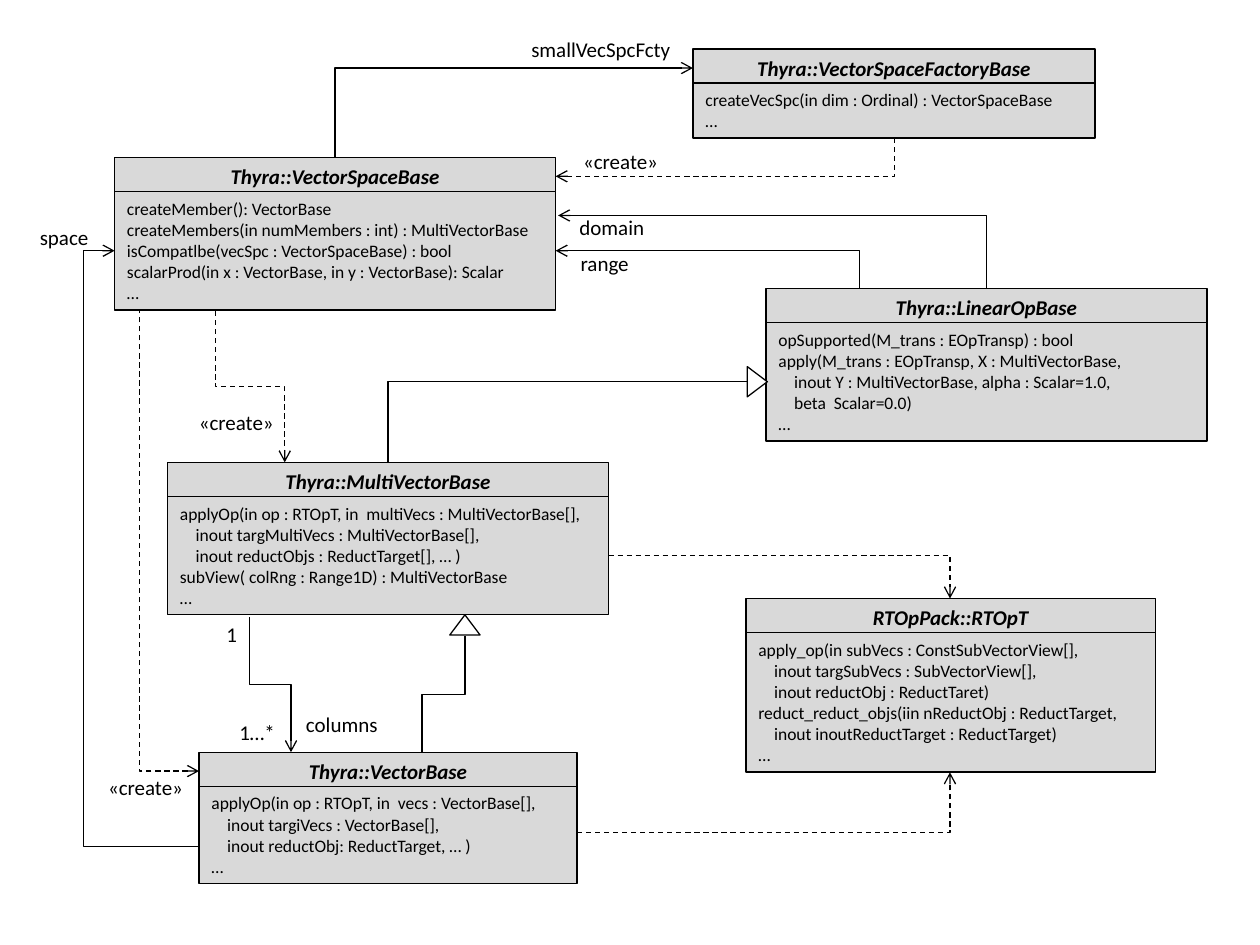
from pptx import Presentation
from pptx.dml.color import RGBColor
from pptx.enum.dml import MSO_LINE
from pptx.enum.shapes import MSO_CONNECTOR, MSO_SHAPE
from pptx.enum.text import MSO_ANCHOR, PP_ALIGN
from pptx.oxml.ns import qn
from pptx.util import Inches, Pt
from lxml.etree import SubElement

FONT, INK, GREY, WHITE = "Calibri", "000000", "D9D9D9", "FFFFFF"
HEADING_HEIGHT, BODY_OFFSET = 0.3, 0.27
LINE_HEIGHT, BODY_PADDING = 0.168, 0.1
INDENT = 0.125

# heading, left, top, width, members (a leading ">" marks a continued line)
CLASSES = [
    ("Thyra::VectorSpaceBase", 0.91, 1.25, 3.5, [
        "createMember(): VectorBase",
        "createMembers(in numMembers : int) : MultiVectorBase",
        "isCompatlbe(vecSpc : VectorSpaceBase) : bool",
        "scalarProd(in x : VectorBase, in y : VectorBase): Scalar", "…"]),
    ("Thyra::VectorSpaceFactoryBase", 5.5, 0.39, 3.19, [
        "createVecSpc(in dim : Ordinal) : VectorSpaceBase", "…"]),
    ("Thyra::LinearOpBase", 6.08, 2.29, 3.5, [
        "opSupported(M_trans : EOpTransp) : bool",
        "apply(M_trans : EOpTransp, X : MultiVectorBase, ",
        ">inout Y : MultiVectorBase, alpha : Scalar=1.0,",
        ">beta  Scalar=0.0)", "…"]),
    ("Thyra::MultiVectorBase", 1.33, 3.67, 3.5, [
        "applyOp(in op : RTOpT, in  multiVecs : MultiVectorBase[],",
        ">inout targMultiVecs : MultiVectorBase[],",
        ">inout reductObjs : ReductTarget[], … )",
        "subView( colRng : Range1D) : MultiVectorBase", "…"]),
    ("Thyra::VectorBase", 1.58, 5.97, 3, [
        "applyOp(in op : RTOpT, in  vecs : VectorBase[],",
        ">inout targiVecs : VectorBase[],",
        ">inout reductObj: ReductTarget, … )", "…"]),
    ("RTOpPack::RTOpT", 5.92, 4.75, 3.25, [
        "apply_op(in subVecs : ConstSubVectorView[],",
        ">inout targSubVecs : SubVectorView[],",
        ">inout reductObj : ReductTaret)",
        "reduct_reduct_objs(iin nReductObj : ReductTarget,",
        ">inout inoutReductTarget : ReductTarget)", "…"]),
]

# start, end, route, end with the arrow, dashed
# corner: across then down; step: down, across, down; loop: around the left side
RELATIONS = [
    ((5.5, 0.54), (2.66, 1.25), "corner", "start", False),
    ((4.41, 1.99), (6.82, 2.29), "corner", "start", False),
    ((4.43, 1.71), (7.83, 2.29), "corner", "start", False),
    ((0.91, 1.99), (1.58, 6.72), "loop", "start", False),
    ((5.93, 3.03), (3.08, 3.67), "corner", None, False),
    ((3.69, 5.05), (3.35, 5.97), "step", None, False),
    ((1.98, 4.9), (2.31, 5.97), "step", "end", False),
    ((4.41, 1.4), (7.1, 1.1), "corner", "start", True),
    ((1.71, 2.47), (2.26, 3.67), "step", "end", True),
    ((1.58, 6.12), (1.11, 2.47), "corner", "start", True),
    ((4.83, 4.41), (7.54, 4.75), "corner", "end", True),
    ((4.58, 6.61), (7.54, 6.13), "corner", "end", True),
]
LOOP_BEND = -36800

# left, top, rotation of each inheritance head
INHERITANCE = [(5.89, 2.95, 90), (3.57, 4.88, 0)]

# text, left, top, width, alignment
LEFT, RIGHT = PP_ALIGN.LEFT, PP_ALIGN.RIGHT
LABELS = [
    ("domain", 4.5, 1.65, 0.72, LEFT), ("range", 4.51, 1.94, 0.59, LEFT),
    ("smallVecSpcFcty", 4.1, 0.24, 1.32, RIGHT), ("space", 0.21, 1.73, 0.59, RIGHT),
    ("1", 1.69, 4.88, 0.29, RIGHT), ("1…*", 1.79, 5.66, 0.49, RIGHT),
    ("columns", 2.33, 5.6, 0.78, LEFT), ("«create»", 4.53, 1.13, 0.8, LEFT),
    ("«create»", 1.48, 3.2, 0.8, LEFT), ("«create»", 0.76, 6.1, 0.8, LEFT),
]


def color(value):
    """Turn a hex string into a colour."""
    return RGBColor.from_string(value)


def write(frame, lines, size, align, strong=False):
    """Fill a text frame with one paragraph per line."""
    frame.text = "\n".join(line.lstrip(">") for line in lines)
    for line, paragraph in zip(lines, frame.paragraphs):
        paragraph.alignment = align
        if line.startswith(">"):
            paragraph._p.get_or_add_pPr().set("marL", str(Inches(INDENT)))
        for run in paragraph.runs:
            font = run.font
            font.name, font.size = FONT, Pt(size)
            font.bold = font.italic = strong
            font.color.rgb = color(INK)


def outlined(slide, kind, fill, left, top, width, height):
    """Add a filled preset shape with a thin dark outline."""
    shape = slide.shapes.add_shape(
        kind, Inches(left), Inches(top), Inches(width), Inches(height))
    shape.shadow.inherit = False
    shape.fill.solid()
    shape.fill.fore_color.rgb = color(fill)
    shape.line.color.rgb = color(INK)
    shape.line.width = Pt(0.75)
    return shape


def class_box(slide, heading, left, top, width, members):
    """Draw a class as a heading strip over its list of members."""
    strip = outlined(slide, MSO_SHAPE.RECTANGLE, GREY, left, top, width, HEADING_HEIGHT)
    write(strip.text_frame, [heading], 12, PP_ALIGN.CENTER, True)
    body = outlined(slide, MSO_SHAPE.RECTANGLE, GREY, left, top + BODY_OFFSET, width,
                    len(members) * LINE_HEIGHT + BODY_PADDING)
    write(body.text_frame, members, 10, LEFT)
    for part in (strip, body):
        part.text_frame.word_wrap = True
        part.text_frame.vertical_anchor = MSO_ANCHOR.TOP


def turn_upright(connector, start, end):
    """Turn a connector so that its first and last legs run downwards."""
    (x1, y1), (x2, y2) = start, end
    across, down = abs(x2 - x1), y2 - y1
    connector.left = Inches((x1 + x2 - down) / 2)
    connector.top = Inches((y1 + y2 - across) / 2)
    connector.width, connector.height = Inches(down), Inches(across)
    frame = connector._element.spPr.find(qn("a:xfrm"))
    frame.attrib.pop("flipH", None)
    frame.set("rot", "5400000")
    frame.set("flipV", "1" if x2 > x1 else "0")


def relation(slide, start, end, route, arrow, dashed):
    """Draw a bent connector between two points."""
    connector = slide.shapes.add_connector(
        MSO_CONNECTOR.ELBOW, *(Inches(value) for value in start + end))
    properties = connector._element.spPr
    geometry = properties.find(qn("a:prstGeom"))
    if route == "corner":
        geometry.set("prst", "bentConnector2")
    elif route == "step":
        turn_upright(connector, start, end)
    else:
        SubElement(geometry.find(qn("a:avLst")), qn("a:gd"),
                   name="adj1", fmla=f"val {LOOP_BEND}")
    connector.line.color.rgb = color(INK)
    connector.line.width = Pt(0.75)
    if dashed:
        connector.line.dash_style = MSO_LINE.DASH
    if arrow:
        tag = "a:headEnd" if arrow == "start" else "a:tailEnd"
        SubElement(properties.find(qn("a:ln")), qn(tag), type="arrow")
    SubElement(properties, qn("a:effectLst"))


def label(slide, text, left, top, width, align):
    """Add a short caption beside a connector."""
    caption = slide.shapes.add_textbox(
        Inches(left), Inches(top), Inches(width), Inches(0.3))
    caption.text_frame.word_wrap = False
    write(caption.text_frame, [text], 12, align)


deck = Presentation()
deck.slide_width, deck.slide_height = Inches(10), Inches(7.5)
diagram = deck.slides.add_slide(deck.slide_layouts[6])
for entry in CLASSES:
    class_box(diagram, *entry)
for entry in RELATIONS:
    relation(diagram, *entry)
for left, top, angle in INHERITANCE:
    outlined(diagram, MSO_SHAPE.ISOSCELES_TRIANGLE, WHITE,
             left, top, 0.24, 0.16).rotation = angle
for entry in LABELS:
    label(diagram, *entry)
deck.save("out.pptx")
